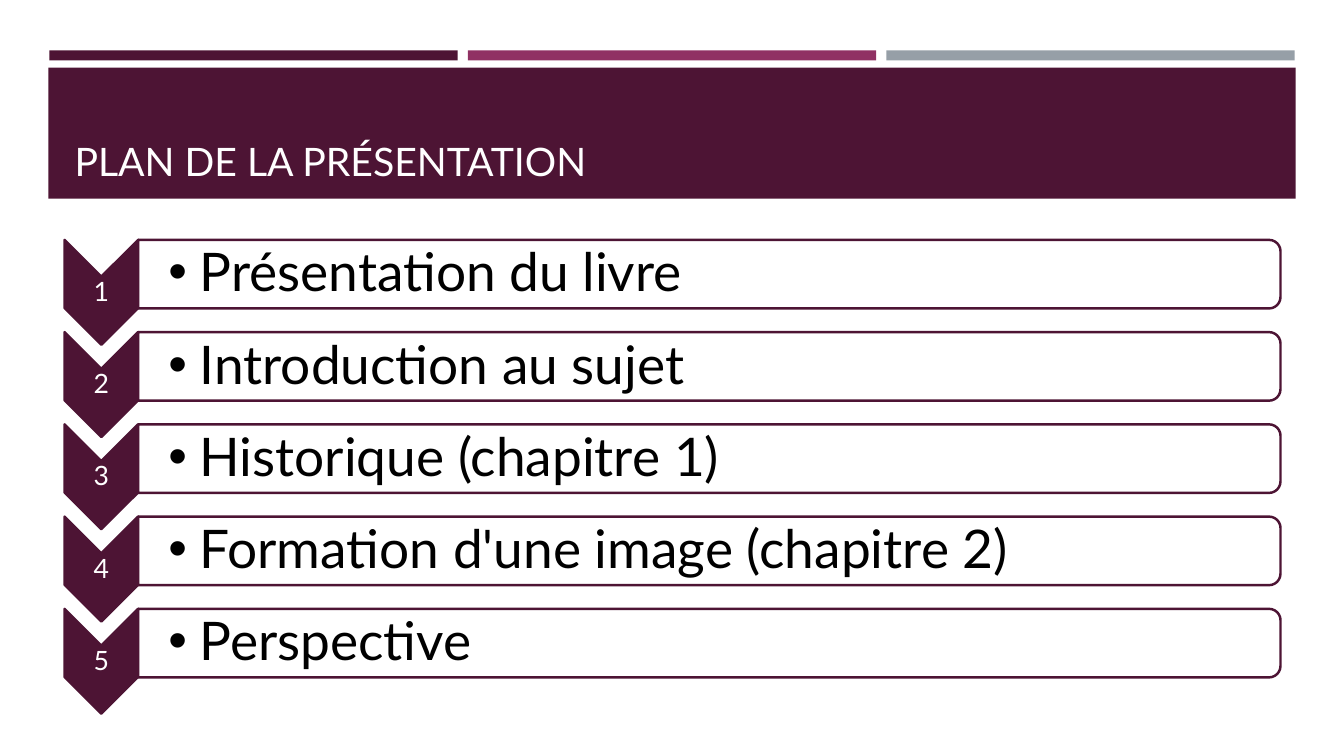
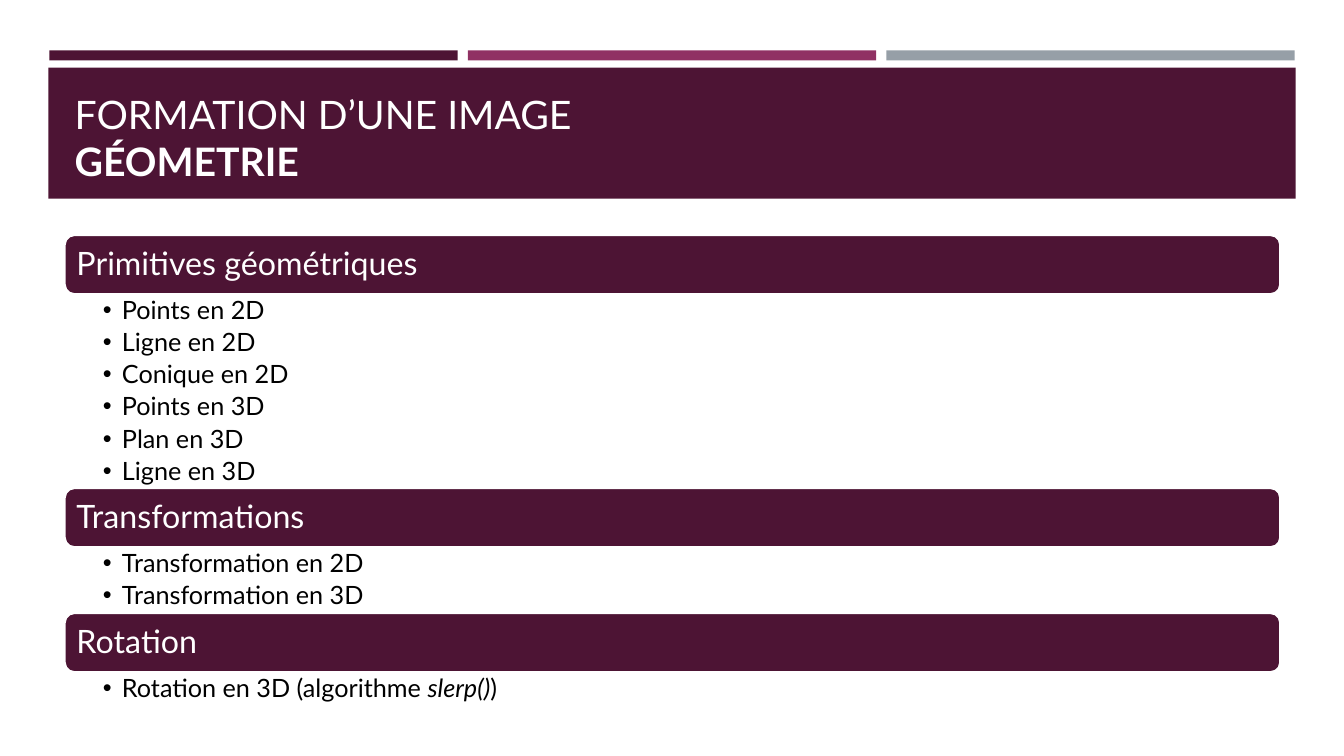
"""Build the outline slide and the geometry slide of a lecture on image formation."""
from dataclasses import dataclass
from typing import Any, NamedTuple, Optional

from lxml import etree
from pptx import Presentation
from pptx import slide as sl
from pptx import util as u
from pptx.dml import color
from pptx.enum import shapes, text
from pptx.oxml import ns
from pptx.shapes import autoshape
from pptx.text import text as tx


@dataclass(frozen=True)
class Theme:
    """Colours, font and type sizes of the presentation."""
    plum: str = "4D1434"
    berry: str = "903163"
    grey: str = "969FA7"
    white: str = "FFFFFF"
    black: str = "000000"
    font: str = "Lato"
    title: int = 28
    step: int = 38
    number: int = 19
    heading: int = 23
    item: int = 18
    outline: float = 1.75


class Box(NamedTuple):
    """Visible frame in inches."""
    left: float
    top: float
    width: float
    height: float

    def lengths(self) -> list[u.Length]:
        """Return the frame as slide lengths."""
        return [u.Inches(side) for side in self]

    def turned(self) -> "Box":
        """Return the frame which covers this one after a quarter turn."""
        shift = (self.width - self.height) / 2
        return Box(self.left + shift, self.top - shift, self.height, self.width)


class Span(NamedTuple):
    """Stretch of text with its emphasis."""
    words: str
    bold: bool = False
    italic: bool = False


class TextStyle(NamedTuple):
    """Type size, colour and paragraph layout of a text."""
    size: int
    colour: str
    insets: tuple[float, float, float, float]
    after: float = 0
    hang: float = 0
    align: Any = text.PP_ALIGN.LEFT
    anchor: Any = text.MSO_ANCHOR.MIDDLE


@dataclass(frozen=True)
class Section:
    """Heading bar with the topics listed under it."""
    heading: str
    topics: list[list[Span]]
    list_height: float


THEME = Theme()
NUMBER = TextStyle(THEME.number, THEME.white, (0.01,) * 4, 0.35, align=text.PP_ALIGN.CENTER)
STEP = TextStyle(THEME.step, THEME.black, (0.3, 0.03, 0.03, 0.03), 0.15, 0.31)
HEADING = TextStyle(THEME.heading, THEME.white, (0.09, 0.1, 0.1, 0.1), 0.35)
TOPIC = TextStyle(THEME.item, THEME.black, (0.38, 0.03, 0.18, 0.03), 0.2, 0.19,
                  anchor=text.MSO_ANCHOR.TOP)

TITLE_BOX = Box(0.64, 0.77, 12.06, 1.11)
TITLE_BAND = Box(0.48, 0.67, 12.37, 1.3)
STRIPE, STRIPE_PITCH = Box(0.49, 0.5, 4.05, 0.1), 4.15
STEPS_TOP, STEPS_SPAN = 2.38, 3.66
SECTIONS_TOP, HEADING_HEIGHT = 2.33, 0.59

STEPS = [
    "Présentation du livre",
    "Introduction au sujet",
    "Historique (chapitre 1)",
    "Formation d'une image (chapitre 2)",
    "Perspective",
]
PRIMITIVES = ["Points en 2D", "Ligne en 2D", "Conique en 2D",
              "Points en 3D", "Plan en 3D", "Ligne en 3D"]
SECTIONS = [
    Section("Primitives géométriques", [[Span(name)] for name in PRIMITIVES], 1.92),
    Section("Transformations",
            [[Span("Transformation en 2D")], [Span("Transformation en 3D")]], 0.65),
    Section("Rotation", [[Span("Rotation en 3D (algorithme "),
                          Span("slerp()", italic=True), Span(")")]], 0.42),
]


def apply(target: Any, values: dict[str, Any]) -> None:
    """Set each named attribute of the target."""
    for name, value in values.items():
        setattr(target, name, value)


def add_span(paragraph: tx._Paragraph, span: Span, size: int, colour: str) -> None:
    """Append one formatted span to a paragraph."""
    run = paragraph.add_run()
    run.text = span.words
    apply(run.font, {"name": THEME.font, "size": u.Pt(size),
                     "bold": span.bold, "italic": span.italic})
    run.font.color.rgb = color.RGBColor.from_string(colour)


def add_bullet(paragraph: tx._Paragraph, hang: float) -> None:
    """Give a paragraph a bullet with a hanging indent."""
    paragraph.level = 1
    properties = paragraph._p.get_or_add_pPr()
    properties.set("marL", str(u.Inches(hang)))
    properties.set("indent", str(-u.Inches(hang)))
    etree.SubElement(properties, ns.qn("a:buFont")).set("typeface", "Arial")
    etree.SubElement(properties, ns.qn("a:buChar")).set("char", "•")


def write(frame: tx.TextFrame, lines: list[list[Span]], style: TextStyle) -> None:
    """Fill a text frame with one paragraph per line."""
    left, top, right, bottom = (u.Inches(inset) for inset in style.insets)
    apply(frame, {"word_wrap": True, "auto_size": text.MSO_AUTO_SIZE.NONE,
                  "vertical_anchor": style.anchor, "margin_left": left,
                  "margin_top": top, "margin_right": right, "margin_bottom": bottom})
    for index, line in enumerate(lines):
        paragraph = frame.add_paragraph() if index else frame.paragraphs[0]
        apply(paragraph, {"alignment": style.align, "line_spacing": 0.9,
                          "space_after": u.Pt(style.after * style.size)})
        if style.hang:
            add_bullet(paragraph, style.hang)
        for span in line:
            add_span(paragraph, span, style.size, style.colour)


def add_text(slide: sl.Slide, box: Box, lines: list[list[Span]], style: TextStyle) -> None:
    """Add a text box."""
    write(slide.shapes.add_textbox(*box.lengths()).text_frame, lines, style)


def add_panel(slide: sl.Slide, kind: Any, box: Box, fill: str,
              line: Optional[str] = None, rotation: int = 0) -> autoshape.Shape:
    """Add a filled shape, outlined when a line colour is given."""
    frame = box.turned() if rotation else box
    panel = slide.shapes.add_shape(kind, *frame.lengths())
    panel.rotation = rotation
    panel.shadow.inherit = False
    panel.fill.solid()
    panel.fill.fore_color.rgb = color.RGBColor.from_string(fill)
    if line:
        panel.line.color.rgb = color.RGBColor.from_string(line)
        panel.line.width = u.Pt(THEME.outline)
    else:
        panel.line.fill.background()
    return panel


def style_layout(layout: sl.SlideLayout, slide: sl.Slide) -> None:
    """Give the layout its title style and its coloured bands."""
    title_style = layout.slide_master.element.find(
        f".//{ns.qn('p:titleStyle')}/{ns.qn('a:lvl1pPr')}")
    title_style.set("algn", "l")
    title_style.find(ns.qn("a:defRPr")).set("sz", str(THEME.title * 100))
    left, top, width, height = TITLE_BOX.lengths()
    apply(layout.placeholders[0],
          {"left": left, "top": top, "width": width, "height": height})
    bands = [(STRIPE._replace(left=STRIPE.left + index * STRIPE_PITCH), fill)
             for index, fill in enumerate((THEME.plum, THEME.berry, THEME.grey))]
    bands.append((TITLE_BAND, THEME.plum))
    for position, (box, fill) in enumerate(bands, start=2):
        band = add_panel(slide, shapes.MSO_SHAPE.RECTANGLE, box, fill)
        layout.shapes.element.insert(position, band.element)


def set_title(slide: sl.Slide, lines: list[Span]) -> None:
    """Write the slide title, one span per line."""
    frame = slide.shapes.title.text_frame
    apply(frame, {"vertical_anchor": text.MSO_ANCHOR.BOTTOM, "word_wrap": True,
                  "auto_size": text.MSO_AUTO_SIZE.NONE})
    paragraph = frame.paragraphs[0]
    for index, span in enumerate(lines):
        if index:
            paragraph.add_line_break()
        add_span(paragraph, span, THEME.title, THEME.white)


def add_step(slide: sl.Slide, number: int, name: str, top: float) -> None:
    """Add a numbered chevron and its outlined entry."""
    add_panel(slide, shapes.MSO_SHAPE.CHEVRON, Box(0.64, top, 0.73, 1.04),
              THEME.plum, THEME.plum, 90)
    add_text(slide, Box(0.64, top + 0.37, 0.73, 0.31), [[Span(str(number))]], NUMBER)
    entry = add_panel(slide, shapes.MSO_SHAPE.ROUND_2_SAME_RECTANGLE,
                      Box(1.37, top, 11.33, 0.68), THEME.white, THEME.plum, 90)
    fill = entry.element.find(f".//{ns.qn('a:srgbClr')}")
    etree.SubElement(fill, ns.qn("a:alpha")).set("val", "90000")
    add_text(slide, Box(1.37, top + 0.04, 11.3, 0.61), [[Span(name)]], STEP)


def add_section(slide: sl.Slide, section: Section, top: float) -> float:
    """Add a heading bar with its topics and return the bottom edge."""
    bar = Box(TITLE_BOX.left, top, TITLE_BOX.width, HEADING_HEIGHT)
    heading = add_panel(slide, shapes.MSO_SHAPE.ROUNDED_RECTANGLE, bar,
                        THEME.plum, THEME.white)
    write(heading.text_frame, [[Span(section.heading)]], HEADING)
    topics = bar._replace(top=top + HEADING_HEIGHT, height=section.list_height)
    add_text(slide, topics, section.topics, TOPIC)
    return topics.top + topics.height


def build() -> None:
    """Build and save the presentation."""
    deck = Presentation()
    apply(deck, {"slide_width": u.Inches(13.33), "slide_height": u.Inches(7.5)})
    layout = deck.slide_layouts.get_by_name("Title Only")

    outline = deck.slides.add_slide(layout)
    style_layout(layout, outline)
    set_title(outline, [Span("PLAN DE LA PRÉSENTATION")])
    pitch = STEPS_SPAN / (len(STEPS) - 1)
    for index, name in enumerate(STEPS):
        add_step(outline, index + 1, name, STEPS_TOP + index * pitch)

    geometry = deck.slides.add_slide(layout)
    set_title(geometry, [Span("FORMATION D’UNE IMAGE"), Span("GÉOMETRIE", bold=True)])
    top = SECTIONS_TOP
    for section in SECTIONS:
        top = add_section(geometry, section, top)

    deck.save("out.pptx")


build()
